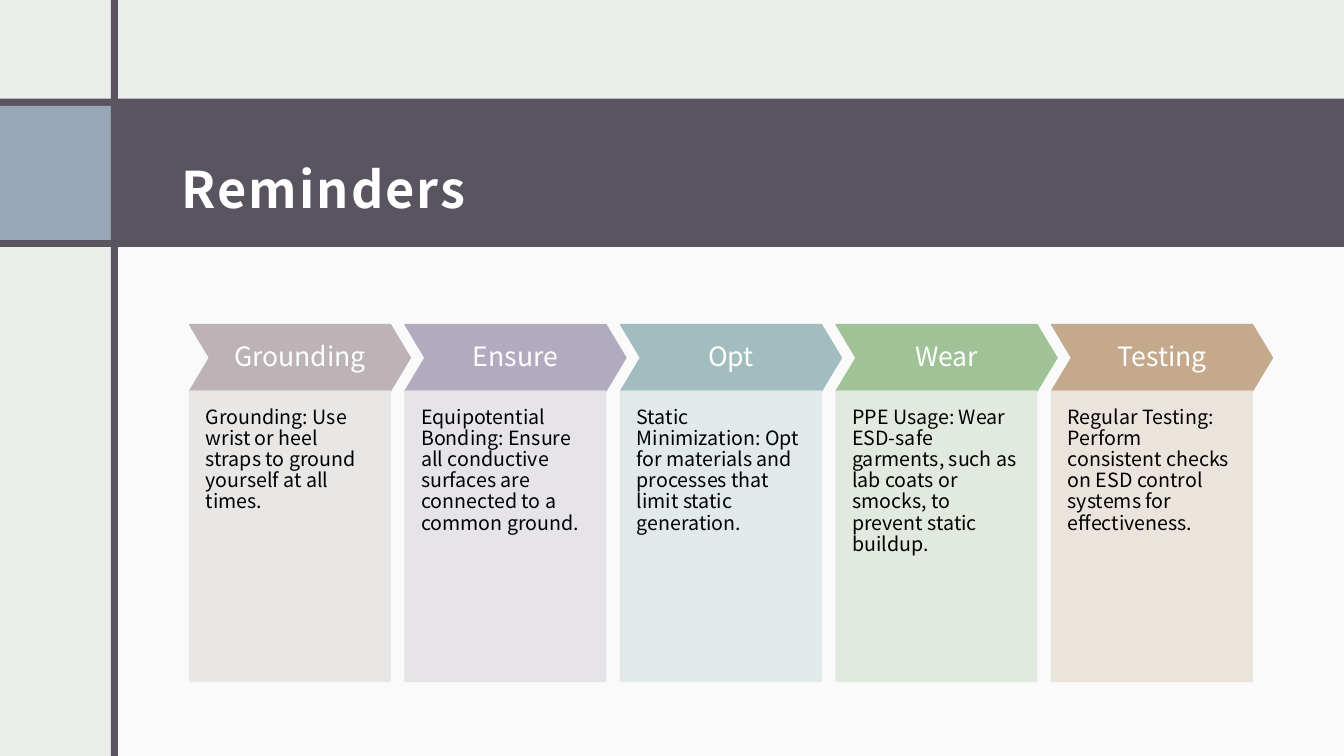
import pptx
import pptx.util
import pptx.dml.color
import pptx.enum.shapes
import pptx.enum.text
import pptx.oxml

WIDE, HIGH = 13.33, 7.5
FONT = "Noto Sans CJK JP"
HUES = {"page": "EBEDEB", "white": "FFFFFF", "dark": "595460", "blue": "97A7B8", "black": "000000"}

# Step grid: left edge, distance between steps, top of heads, top of cards
LEFT, STEP, TOP, MID = 1.88, 2.1375, 3.22, 3.88
BAR = 0.07

STEPS = [
    ("Grounding", "BDB3B6", "E8E5E5",
     "Grounding: Use wrist or heel straps to ground yourself at all times."),
    ("Ensure", "B2AABE", "E5E2E8",
     "Equipotential Bonding: Ensure all conductive surfaces are connected to a common ground."),
    ("Opt", "A1BDC0", "E0E8E9",
     "Static Minimization: Opt for materials and processes that limit static generation."),
    ("Wear", "A0C297", "E0E9DD",
     "PPE Usage: Wear ESD-safe garments, such as lab coats or smocks, to prevent static buildup."),
    ("Testing", "C5A98D", "EAE2DB",
     "Regular Testing: Perform consistent checks on ESD control systems for effectiveness."),
]

KIND = pptx.enum.shapes.MSO_SHAPE
ANCHOR = pptx.enum.text.MSO_ANCHOR
ALIGN = pptx.enum.text.PP_ALIGN


def inches(*sizes):
    return [pptx.util.Inches(size) for size in sizes]


def paint(fill, hue, alpha=100):
    fill.solid()
    fill.fore_color.rgb = pptx.dml.color.RGBColor.from_string(hue)
    if alpha < 100:
        color = fill._xPr.find(".//" + pptx.oxml.ns.qn("a:srgbClr"))
        node = pptx.oxml.parse_xml(
            f'<a:alpha {pptx.oxml.ns.nsdecls("a")} val="{alpha * 1000}"/>')
        color.append(node)


def block(slide, box, hue, alpha=100, kind=KIND.RECTANGLE, edge=False):
    shape = slide.shapes.add_shape(kind, *inches(*box))
    shape.shadow.inherit = False
    paint(shape.fill, hue, alpha)
    if edge:
        shape.line.width = pptx.util.Pt(1)
        paint(shape.line.fill, hue, alpha)
    else:
        shape.line.fill.background()
    return shape


def write(shape, text, size, hue, pads, anchor, align, space):
    frame = shape.text_frame
    frame.word_wrap = True
    frame.vertical_anchor = anchor
    (frame.margin_left, frame.margin_top,
     frame.margin_right, frame.margin_bottom) = inches(*pads)
    para = frame.paragraphs[0]
    para.alignment = align
    para.line_spacing = space
    run = para.add_run()
    run.text = text
    run.font.name = FONT
    run.font.size = pptx.util.Pt(size)
    run.font.color.rgb = pptx.dml.color.RGBColor.from_string(hue)
    return run


def frame(slide):
    # Pale body, dark band, blue tab and upright bar
    block(slide, (1.14, 2.33, WIDE - 1.14, HIGH - 2.33), HUES["white"], 75)
    block(slide, (0, 0.98, WIDE, 1.47), HUES["dark"])
    block(slide, (0, 1.05, 1.1, 1.33), HUES["blue"])
    block(slide, (1.1, 0, BAR, HIGH), HUES["dark"])


def title(slide, text):
    box = slide.shapes.add_textbox(*inches(1.68, 1.14, 10.95, 1.13))
    run = write(box, text, 36, HUES["white"], (0.12, 0.12, 0.12, 0.1),
                ANCHOR.MIDDLE, ALIGN.LEFT, 1.5)
    run.font.bold = True
    run.font._element.set("spc", "150")


def step(slide, col, name, deep, pale, text):
    left = LEFT + col * STEP
    head = block(slide, (left, TOP, 2.19, MID - TOP), deep, kind=KIND.CHEVRON, edge=True)
    head.adjustments[0] = 0.3
    write(head, name, 19, HUES["white"], (0.08,) * 4, ANCHOR.MIDDLE, ALIGN.CENTER, 0.9)
    card = block(slide, (left, MID, 1.99, 2.88), pale, 90, edge=True)
    write(card, text, 14, HUES["black"], (0.16, 0.16, 0.16, 0.32),
          ANCHOR.TOP, ALIGN.LEFT, 0.9)


def main():
    deck = pptx.Presentation()
    deck.slide_width, deck.slide_height = inches(WIDE, HIGH)
    slide = deck.slides.add_slide(deck.slide_layouts[6])
    paint(slide.background.fill, HUES["page"])
    frame(slide)
    title(slide, "Reminders")
    for col, item in enumerate(STEPS):
        step(slide, col, *item)
    deck.save("out.pptx")


if __name__ == "__main__":
    main()
